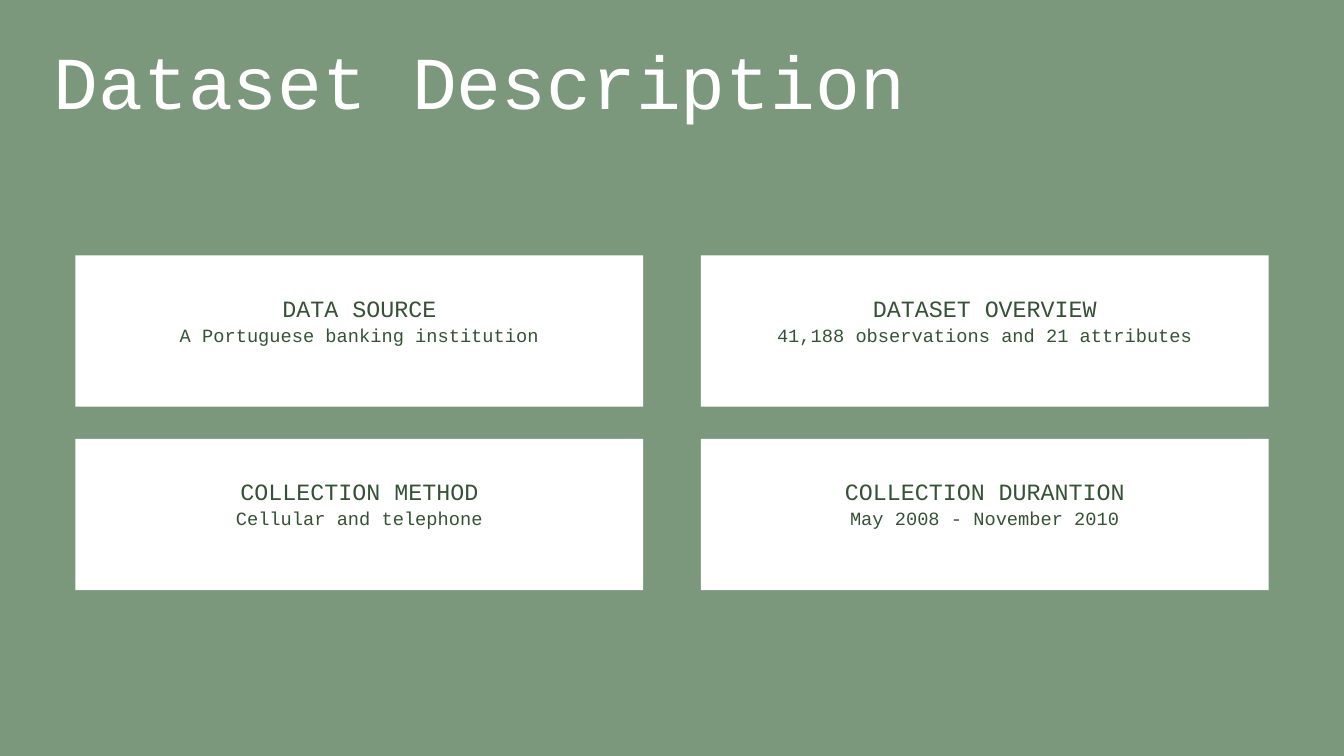
from pptx import Presentation
from pptx.dml.color import RGBColor
from pptx.enum.shapes import MSO_SHAPE as Shape
from pptx.enum.text import MSO_ANCHOR as Anchor, MSO_AUTO_SIZE as AutoSize, PP_ALIGN as Align
from pptx.util import Pt


def color(code):
    return RGBColor.from_string(code)


def write(box, lines, ink, align=Align.LEFT, anchor=Anchor.TOP, inset=0):
    frame = box.text_frame
    frame.word_wrap = True
    frame.auto_size = AutoSize.NONE
    frame.vertical_anchor = anchor
    frame.margin_left = frame.margin_right = Pt(inset)
    frame.margin_top = frame.margin_bottom = Pt(inset)
    for index, (text, size, spacing) in enumerate(lines):
        para = frame.add_paragraph() if index else frame.paragraphs[0]
        para.alignment = align
        para.line_spacing = Pt(spacing)
        para.space_before = Pt(0)
        span = para.add_run()
        span.text = text
        span.font.name = "Courier New"
        span.font.size = Pt(size)
        span.font.color.rgb = color(ink)


deck = Presentation()
deck.slide_width, deck.slide_height = Pt(1440), Pt(810)
page = deck.slides.add_slide(deck.slide_layouts[5])
page.background.fill.solid()
page.background.fill.fore_color.rgb = color("7C987C")

title = page.shapes.title
title.left, title.top, title.width, title.height = Pt(57.6), Pt(37.4), Pt(922.3), Pt(106.6)
write(title, [("Dataset Description", 80, 96)], "FFFFFF")

cards = [
    ("DATA SOURCE", "A Portuguese banking institution"),
    ("DATASET OVERVIEW", "41,188 observations and 21 attributes"),
    ("COLLECTION METHOD", "Cellular and telephone"),
    ("COLLECTION DURANTION", "May 2008 - November 2010"),
]
card_width, card_height, text_rise = 608.4, 162, 26
for index, (heading, detail) in enumerate(cards):
    row, column = divmod(index, 2)
    left = 80.8 + column * 670
    top = 273.6 + row * 196.6
    card = page.shapes.add_shape(
        Shape.RECTANGLE, Pt(left), Pt(top), Pt(card_width), Pt(card_height))
    card.shadow.inherit = False
    card.fill.solid()
    card.fill.fore_color.rgb = color("FFFFFF")
    card.line.fill.background()
    box = page.shapes.add_textbox(
        Pt(left), Pt(top - text_rise), Pt(card_width), Pt(card_height + text_rise))
    write(box, [(heading, 25, 32.5), (detail, 20, 26)], "365236",
          align=Align.CENTER, anchor=Anchor.MIDDLE, inset=20)

deck.save("out.pptx")
